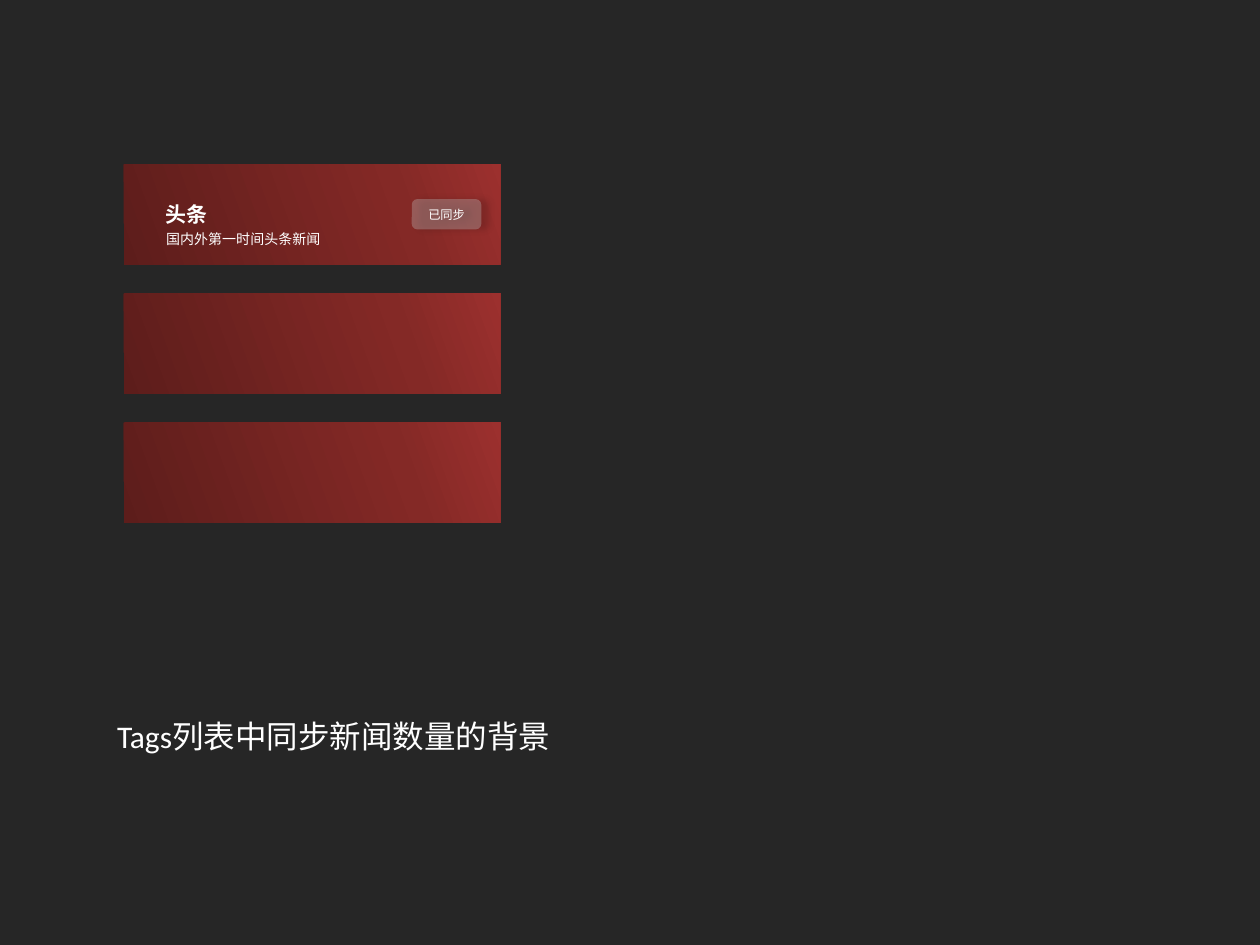
from copy import deepcopy

from lxml import etree
from pptx import Presentation
from pptx.dml.color import RGBColor
from pptx.enum.shapes import MSO_SHAPE
from pptx.enum.text import MSO_ANCHOR, MSO_AUTO_SIZE, PP_ALIGN
from pptx.oxml.ns import qn
from pptx.util import Pt

RECTANGLE, ROUNDED = MSO_SHAPE.RECTANGLE, MSO_SHAPE.ROUNDED_RECTANGLE
MIDDLE, CENTER = MSO_ANCHOR.MIDDLE, PP_ALIGN.CENTER
GROW = MSO_AUTO_SIZE.SHAPE_TO_FIT_TEXT

BACKGROUND = RGBColor(0x26, 0x26, 0x26)
WHITE = RGBColor(0xFF, 0xFF, 0xFF)
BADGE_GREY = RGBColor(0xBF, 0xBF, 0xBF)
CARD_STOPS = [
    (0, RGBColor(0x5D, 0x1D, 0x1B)),
    (0.73, RGBColor(0x84, 0x29, 0x26)),
    (1, RGBColor(0x9C, 0x30, 0x2E)),
]
LATIN_FONT, CHINESE_FONT = "Calibri", "Noto Sans CJK SC"

# Text, box (left, top, width, height), size, bold, Latin font
CAPTION = ("Tags列表中同步新闻数量的背景", (59.8, 406, 584, 29), 18, False, LATIN_FONT)
NEWS_TEXTS = [
    ("头条", (87.8, 111.6, 45.4, 21.6), 12, True, CHINESE_FONT),
    ("国内外第一时间头条新闻", (87.8, 128.2, 130.3, 17.3), 8, False, CHINESE_FONT),
]
BADGE_TEXT, BADGE_BOX = "已同步", (235.3, 113.8, 39.7, 17.3)
CARD_LEFT, CARD_TOP, CARD_WIDTH, CARD_HEIGHT = 70.7, 94, 215.3, 57.2
CARD_PITCH = 73.8


def points(box):
    """Turn a box of plain numbers into lengths."""
    return [Pt(value) for value in box]


def write(paragraph, text, size, bold=False, latin=CHINESE_FONT):
    """Add one white run with its Latin and Chinese fonts."""
    run = paragraph.add_run()
    run.text = text
    run.font.size, run.font.bold, run.font.name = Pt(size), bold, latin
    run.font.color.rgb = WHITE
    east_asian = etree.Element(qn("a:ea"), typeface=CHINESE_FONT)
    run.font._element.find(qn("a:latin")).addnext(east_asian)


def add_text(shapes, text, box, size, bold, latin):
    """Add a wrapping text box that grows with its text."""
    frame = shapes.add_textbox(*points(box)).text_frame
    frame.word_wrap = True
    frame.auto_size = GROW
    write(frame.paragraphs[0], text, size, bold, latin)


def add_card(shapes, row):
    """Add the red gradient card of the given row."""
    box = (CARD_LEFT, CARD_TOP + row * CARD_PITCH, CARD_WIDTH, CARD_HEIGHT)
    card = shapes.add_shape(RECTANGLE, *points(box))
    card.shadow.inherit = False
    card.line.fill.background()
    card.fill.gradient()
    card.fill.gradient_angle = 20
    stop_list = card._element.spPr.find(".//" + qn("a:gsLst"))
    stop_list.append(deepcopy(stop_list[-1]))
    for stop, (position, color) in zip(card.fill.gradient_stops, CARD_STOPS):
        stop.position = position
        stop.color.rgb = color


def add_badge(shapes):
    """Add the translucent badge with a soft shadow to its right."""
    badge = shapes.add_shape(ROUNDED, *points(BADGE_BOX))
    badge.adjustments[0] = 0.18
    badge.line.fill.background()
    badge.fill.solid()
    badge.fill.fore_color.rgb = BADGE_GREY
    properties = badge._element.spPr
    fill_color = properties.find(qn("a:solidFill"))[0]
    etree.SubElement(fill_color, qn("a:alpha"), val="34000")

    badge.shadow.inherit = False
    shadow = etree.SubElement(
        properties.find(qn("a:effectLst")), qn("a:outerShdw"),
        blurRad=str(Pt(4)), dist=str(Pt(4)), dir="0", algn="l", rotWithShape="0")
    shadow_color = etree.SubElement(shadow, qn("a:srgbClr"), val="000000")
    etree.SubElement(shadow_color, qn("a:alpha"), val="43000")

    frame = badge.text_frame
    frame.margin_left = frame.margin_right = 0
    frame.margin_top = frame.margin_bottom = 0
    frame.vertical_anchor = MIDDLE
    frame.paragraphs[0].alignment = CENTER
    write(frame.paragraphs[0], BADGE_TEXT, 7)


deck = Presentation()
deck.slide_width, deck.slide_height = Pt(720), Pt(540)
slide = deck.slides.add_slide(deck.slide_layouts[6])
slide.background.fill.solid()
slide.background.fill.fore_color.rgb = BACKGROUND

add_text(slide.shapes, *CAPTION)
for row in (1, 2):
    add_card(slide.shapes, row)

news = slide.shapes.add_group_shape().shapes
add_card(news, 0)
for news_text in NEWS_TEXTS:
    add_text(news, *news_text)
add_badge(news)

deck.save("out.pptx")
